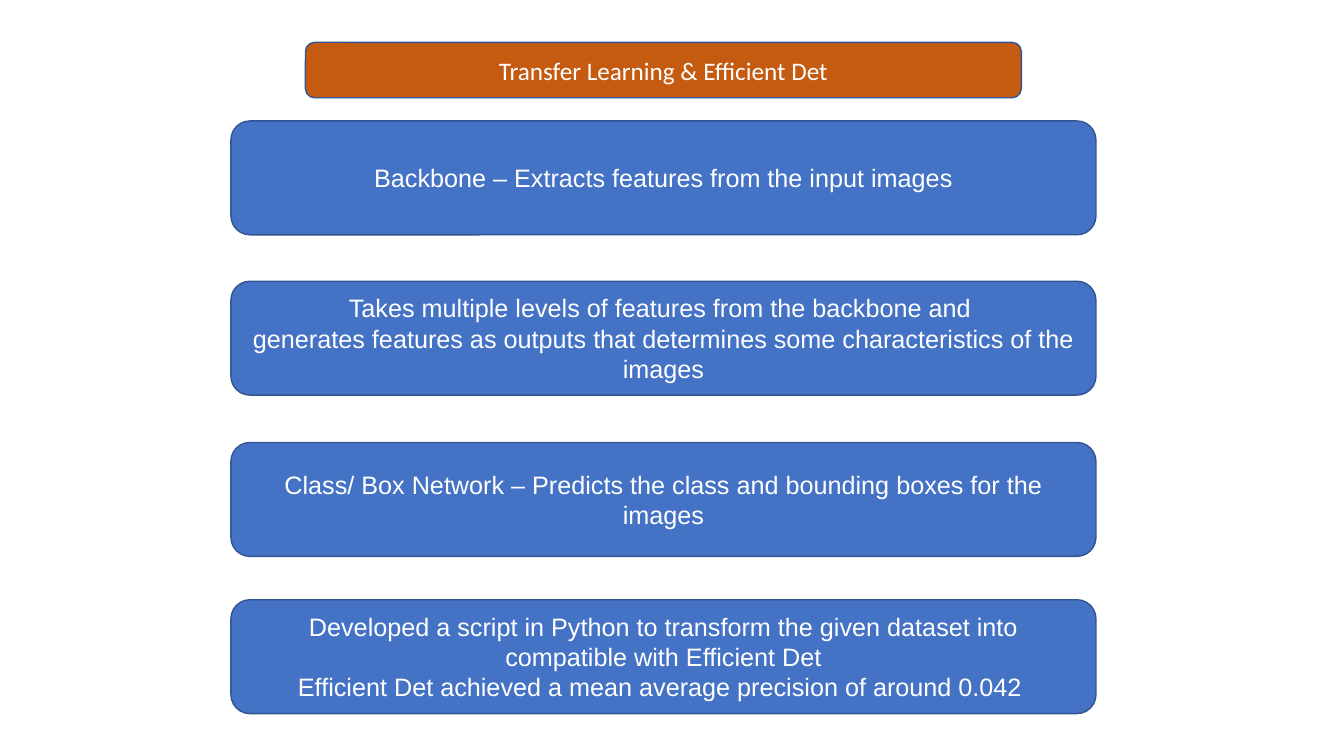
from pptx import Presentation
from pptx.dml.color import RGBColor
from pptx.enum import shapes, text
from pptx.util import Inches, Pt

COLORS = {"title": "C55A11", "step": "4472C4", "line": "325491", "text": "FFFFFF"}


def add_box(slide, left, top, width, height, fill, font, paras):
    """Add a rounded box; each paragraph is a list of lines."""
    box = slide.shapes.add_shape(
        shapes.MSO_SHAPE.ROUNDED_RECTANGLE,
        Inches(left), Inches(top), Inches(width), Inches(height))
    box.shadow.inherit = False
    box.fill.solid()
    box.fill.fore_color.rgb = RGBColor.from_string(COLORS[fill])
    box.line.color.rgb = RGBColor.from_string(COLORS["line"])
    box.line.width = Pt(1)
    frame = box.text_frame
    frame.word_wrap = True
    frame.vertical_anchor = text.MSO_ANCHOR.MIDDLE
    for i, lines in enumerate(paras):
        para = frame.add_paragraph() if i else frame.paragraphs[0]
        para.alignment = text.PP_ALIGN.CENTER
        for j, line in enumerate(lines):
            if j:
                para.add_line_break()
            run = para.add_run()
            run.text = line
            run.font.name = font
            run.font.size = Pt(18)
            run.font.color.rgb = RGBColor.from_string(COLORS["text"])


prs = Presentation()
prs.slide_width = Inches(13.33)
prs.slide_height = Inches(7.5)
slide = prs.slides.add_slide(prs.slide_layouts[6])

add_box(slide, 3.03, 0.42, 7.1, 0.55, "title", "Calibri",
        [["Transfer Learning & Efficient Det"]])

steps = [
    (1.2, [["Backbone – Extracts features from the input images"]]),
    (2.79, [["Takes multiple levels of features from the backbone and ",
             "generates features as outputs that determines some "
             "characteristics of the images"]]),
    (4.39, [["Class/ Box Network – Predicts the class and bounding boxes "
             "for the images"]]),
    (5.95, [["Developed a script in Python to transform the given dataset "
             "into compatible with Efficient Det"],
            ["Efficient Det achieved a mean average precision of around 0.042 "]]),
]
for top, paras in steps:
    add_box(slide, 2.29, top, 8.58, 1.13, "step", "Arial", paras)

prs.save("out.pptx")
